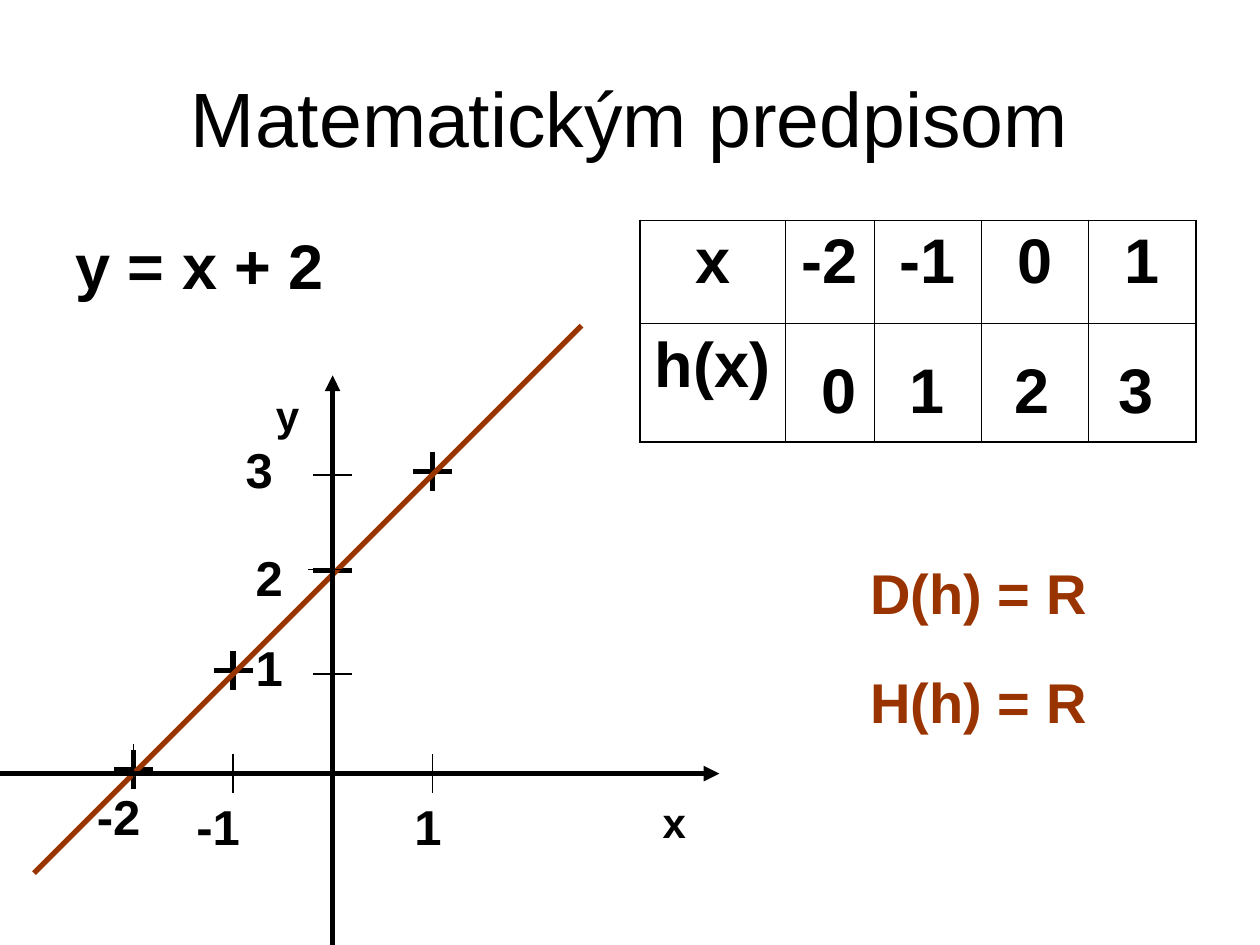
import lxml.etree
import pptx
import pptx.dml.color
import pptx.enum.shapes
import pptx.enum.text
import pptx.oxml.ns
import pptx.util

Inches = pptx.util.Inches
Pt = pptx.util.Pt
qn = pptx.oxml.ns.qn
ALIGN = pptx.enum.text.PP_ALIGN
ANCHOR = pptx.enum.text.MSO_ANCHOR

BLACK = pptx.dml.color.RGBColor(0x00, 0x00, 0x00)
BROWN = pptx.dml.color.RGBColor(0x99, 0x33, 0x00)
FONT = "Arial"

UNIT = 0.79
TICK = 0.31
THICK, THIN = 3, 0.75


def set_font(paragraph, size, color=BLACK, bold=True):
    paragraph.font.name = FONT
    paragraph.font.size = Pt(size)
    paragraph.font.bold = bold
    paragraph.font.color.rgb = color


def add_text(shapes, box, text, size, color=BLACK, bold=True,
             align=ALIGN.LEFT, anchor=ANCHOR.TOP, tabs=()):
    """Add a text box; tabs are left tab stops in inches."""
    shape = shapes.add_textbox(*map(Inches, box))
    frame = shape.text_frame
    frame.word_wrap = True
    frame.vertical_anchor = anchor
    paragraph = frame.paragraphs[0]
    paragraph.text = text
    paragraph.alignment = align
    if tabs:
        tab_list = lxml.etree.SubElement(paragraph._p.get_or_add_pPr(), qn("a:tabLst"))
        for position in tabs:
            lxml.etree.SubElement(tab_list, qn("a:tab"), pos=str(Inches(position)), algn="l")
    set_font(paragraph, size, color, bold)


def add_line(shapes, start, end, width, color=BLACK, arrow=False):
    line = shapes.add_connector(pptx.enum.shapes.MSO_CONNECTOR.STRAIGHT,
                                *map(Inches, (*start, *end)))
    line.line.width = Pt(width)
    line.line.color.rgb = color
    if arrow:
        lxml.etree.SubElement(line.line._get_or_add_ln(), qn("a:tailEnd"), type="triangle")
    lxml.etree.SubElement(line._element.spPr, qn("a:effectLst"))


def add_horizontal(shapes, x, y, width):
    add_line(shapes, (x - TICK / 2, y), (x + TICK / 2, y), width)


def add_vertical(shapes, x, y, width):
    add_line(shapes, (x, y - TICK / 2), (x, y + TICK / 2), width)


def set_borders(cell, widths):
    """Draw the left, right, top and bottom borders, widths in points."""
    properties = cell._tc.get_or_add_tcPr()
    for index, (side, width) in enumerate(zip("LRTB", widths)):
        border = lxml.etree.Element(qn(f"a:ln{side}"), w=str(Pt(width)))
        fill = lxml.etree.SubElement(border, qn("a:solidFill"))
        lxml.etree.SubElement(fill, qn("a:srgbClr"), val=str(BLACK))
        properties.insert(index, border)


def add_value_table(shapes, left, top):
    """Add the table of x and h(x), with the h(x) values laid over its second row."""
    rows = [["x", "-2", "-1", "0", "1"], ["h(x)", "", "", "", ""]]
    widths = [1.15, 0.71, 0.85, 0.85, 0.85]
    heights = [0.82, 0.94]
    outer, inner = 1.08, 0.45
    table = shapes.add_table(len(rows), len(widths), Inches(left), Inches(top),
                             Inches(sum(widths)), Inches(sum(heights))).table
    table.first_row = table.horz_banding = False
    for column, width in zip(table.columns, widths):
        column.width = Inches(width)
    for r, values in enumerate(rows):
        table.rows[r].height = Inches(heights[r])
        for c, value in enumerate(values):
            cell = table.cell(r, c)
            cell.fill.background()
            edges = (c == 0, c == len(widths) - 1, r == 0, r == len(rows) - 1)
            set_borders(cell, [outer if edge else inner for edge in edges])
            paragraph = cell.text_frame.paragraphs[0]
            paragraph.text = value
            paragraph.alignment = ALIGN.CENTER
            set_font(paragraph, 36)
    add_text(shapes, (left + 1.34, top + 0.98, 3.07, 0.7), "0\t1\t2\t3", 36,
             tabs=(0.7, 1.53, 2.36))


def add_function_line(shapes, origin_x, origin_y):
    """Mark the tabulated points of y = x + 2 and draw its line."""
    def locate(x):
        return origin_x + x * UNIT, origin_y - (x + 2) * UNIT

    for x in (0, -1, -2, 1):
        mark_x, mark_y = locate(x)
        mark = shapes.add_group_shape().shapes
        add_horizontal(mark, mark_x, mark_y - 0.03, THICK)
        add_vertical(mark, mark_x, mark_y - 0.03, THICK)
    add_line(shapes, locate(-3), locate(2.5), THICK, BROWN)


def add_axes(shapes, origin_x, origin_y):
    axes = shapes.add_group_shape().shapes
    add_line(axes, (0, origin_y), (5.71, origin_y), THICK, arrow=True)
    add_line(axes, (origin_x, 7.5), (origin_x, 2.98), THICK, arrow=True)
    for x, shift in ((-2, -0.08), (-1, 0), (1, 0)):
        add_vertical(axes, origin_x + x * UNIT, origin_y + shift, THIN)
    for y, shift_x, shift_y in ((1, 0, 0), (2, -0.04, -0.04), (3, 0, 0)):
        add_horizontal(axes, origin_x + shift_x, origin_y - y * UNIT + shift_y, THIN)
    labels = [("-2", -1.97, 0.05), ("-1", -1.18, 0.13), ("1", 0.55, 0.13),
              ("1", -0.71, -1.13), ("2", -0.71, -1.84), ("3", -0.79, -2.7)]
    for text, dx, dy in labels:
        add_text(axes, (origin_x + dx, origin_y + dy, 0.71, 0.57), text, 28)
    for text, dx, dy in (("y", -0.55, -3.1), ("x", 2.52, 0.13)):
        add_text(axes, (origin_x + dx, origin_y + dy, 0.39, 0.5), text, 24)


def add_domain_and_range(shapes, left, top):
    for index, text in enumerate(("D(h) = R", "H(h) = R")):
        add_text(shapes, (left, top + index * 0.87, 2.13, 0.64), text, 32, BROWN)


def main():
    presentation = pptx.Presentation()
    presentation.slide_width = Inches(10)
    presentation.slide_height = Inches(7.5)
    slide = presentation.slides.add_slide(presentation.slide_layouts[6])
    shapes = slide.shapes
    origin = (2.64, 6.14)

    add_text(shapes, (0.5, 0.3, 9, 1.25), "Matematickým predpisom", 44, bold=False,
             align=ALIGN.CENTER, anchor=ANCHOR.MIDDLE)
    add_text(shapes, (0.5, 1.75, 4.42, 1.13), "y = x + 2", 36)
    add_value_table(shapes, 5.08, 1.75)
    add_function_line(shapes, *origin)
    add_domain_and_range(shapes, 6.81, 4.38)
    add_axes(shapes, *origin)
    presentation.save("out.pptx")


if __name__ == "__main__":
    main()
